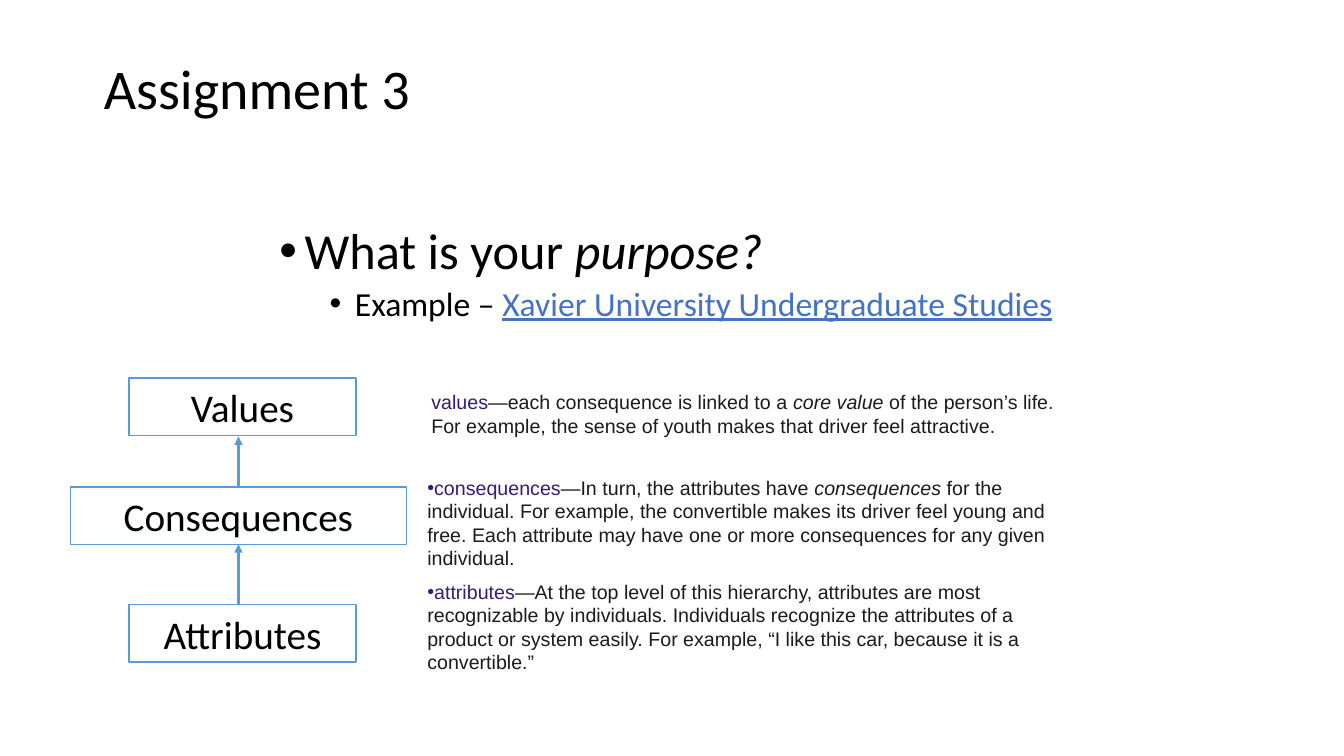
from lxml import etree
from pptx import Presentation
from pptx.dml.color import RGBColor
from pptx.enum.shapes import MSO_CONNECTOR, MSO_SHAPE
from pptx.enum.text import MSO_ANCHOR, MSO_AUTO_SIZE, PP_ALIGN
from pptx.oxml.ns import qn
from pptx.util import Inches, Pt

BLACK = RGBColor(0x00, 0x00, 0x00)
WHITE = RGBColor(0xFF, 0xFF, 0xFF)
BOX_BLUE = RGBColor(0x5B, 0x9B, 0xD5)
LINK_BLUE = RGBColor(0x44, 0x72, 0xC4)
TERM_PURPLE = RGBColor(0x35, 0x1C, 0x75)
NOTE_GREY = RGBColor(0x1B, 0x1B, 0x1B)

# Level name, box (left, top, width, height)
LEVELS = [
    ("Values", (1.28, 3.75, 2.25, 0.57)),
    ("Consequences", (0.7, 4.83, 3.33, 0.57)),
    ("Attributes", (1.28, 6, 2.25, 0.57)),
]

# Box, bulleted or not, and the term, plain and emphasized parts of the text
DEFINITIONS = [
    ((4.18, 3.82, 6.67, 0.57), False, "values",
     [("—each consequence is linked to a ", False), ("core value", True),
      (" of the person’s life. For example, the sense of youth makes that "
       "driver feel attractive.", False)]),
    ((4.14, 4.67, 6.67, 1.04), True, "consequences",
     [("—In turn, the attributes have ", False), ("consequences", True),
      (" for the individual. For example, the convertible makes its driver "
       "feel young and free. Each attribute may have one or more consequences "
       "for any given individual.", False)]),
    ((4.14, 5.7, 6.67, 1.04), True, "attributes",
     [("—At the top level of this hierarchy, attributes are most recognizable "
       "by individuals. Individuals recognize the attributes of a product or "
       "system easily. For example, “I like this car, because it is a "
       "convertible.”", False)]),
]


def place(shape, box):
    shape.left, shape.top, shape.width, shape.height = map(Inches, box)


def add_run(paragraph, text, size, color, font="Calibri", italic=False, underline=False):
    run = paragraph.add_run()
    run.text = text
    run.font.name = font
    run.font.size = Pt(size)
    run.font.color.rgb = color
    run.font.italic = italic
    run.font.underline = underline


def add_bullet(paragraph, left=0, hanging=0):
    properties = paragraph._p.get_or_add_pPr()
    properties.set("marL", str(Inches(left)))
    properties.set("indent", str(-Inches(hanging)))
    etree.SubElement(properties, qn("a:buFont"), typeface="Arial")
    etree.SubElement(properties, qn("a:buChar"), char="•")


def fill_title(title, box):
    place(title, box)
    frame = title.text_frame
    frame.auto_size = MSO_AUTO_SIZE.NONE
    frame.vertical_anchor = MSO_ANCHOR.MIDDLE
    paragraph = frame.paragraphs[0]
    paragraph.alignment = PP_ALIGN.LEFT
    paragraph.line_spacing = 0.9
    add_run(paragraph, "Assignment 3", 40, BLACK)


def fill_purpose(body, box):
    place(body, box)
    frame = body.text_frame
    frame.auto_size = MSO_AUTO_SIZE.NONE

    question = frame.paragraphs[0]
    add_bullet(question, 0.25, 0.25)
    question.space_before = Pt(0)
    add_run(question, "What is your ", 36, BLACK)
    add_run(question, "purpose?", 36, BLACK, italic=True)

    example = frame.add_paragraph()
    example.level = 1
    add_bullet(example, 0.75, 0.25)
    example.space_before = Pt(5)
    add_run(example, "Example – ", 24, BLACK)
    add_run(example, "Xavier University Undergraduate Studies", 24, LINK_BLUE, underline=True)

    for paragraph in frame.paragraphs:
        paragraph.line_spacing = 0.9


def add_level(slide, name, box):
    shape = slide.shapes.add_shape(MSO_SHAPE.RECTANGLE, *map(Inches, box))
    shape.shadow.inherit = False
    shape.fill.solid()
    shape.fill.fore_color.rgb = WHITE
    shape.line.color.rgb = BOX_BLUE
    shape.line.width = Pt(1)
    paragraph = shape.text_frame.paragraphs[0]
    paragraph.alignment = PP_ALIGN.CENTER
    add_run(paragraph, name, 28, BLACK)
    return shape


def add_arrow(slide, x, bottom, top):
    arrow = slide.shapes.add_connector(
        MSO_CONNECTOR.STRAIGHT, x, Inches(bottom), x, Inches(top))
    arrow.line.color.rgb = BOX_BLUE
    arrow.line.width = Pt(1.5)
    etree.SubElement(arrow.line._get_or_add_ln(), qn("a:tailEnd"), type="triangle")
    etree.SubElement(arrow._element.spPr, qn("a:effectLst"))
    return arrow


def add_hierarchy(slide):
    boxes = {name: add_level(slide, name, box) for name, box in LEVELS}
    # Both arrows run along the centre of the middle box
    middle_box = boxes["Consequences"]
    center = middle_box.left + middle_box.width // 2
    to_values = add_arrow(slide, center, 4.83, 4.33)
    to_values.begin_connect(middle_box, 0)
    to_consequences = add_arrow(slide, center, 6, 5.4)
    to_consequences.end_connect(middle_box, 2)


def add_definition(slide, box, bulleted, term, parts):
    frame = slide.shapes.add_textbox(*map(Inches, box)).text_frame
    frame.word_wrap = True
    paragraph = frame.paragraphs[0]
    if bulleted:
        add_bullet(paragraph)
    add_run(paragraph, term, 14, TERM_PURPLE, "Arial")
    for text, italic in parts:
        add_run(paragraph, text, 14, NOTE_GREY, "Arial", italic)


def main():
    presentation = Presentation()
    presentation.slide_width = Inches(13.33)
    presentation.slide_height = Inches(7.5)
    slide = presentation.slides.add_slide(presentation.slide_layouts[1])

    # Title and purpose
    fill_title(slide.shapes.title, (0.93, 0.49, 8.5, 0.83))
    fill_purpose(slide.placeholders[1], (2.67, 2.19, 8.75, 1.3))

    # Hierarchy on the left, definitions on the right
    add_hierarchy(slide)
    for definition in DEFINITIONS:
        add_definition(slide, *definition)

    presentation.save("out.pptx")


if __name__ == "__main__":
    main()
